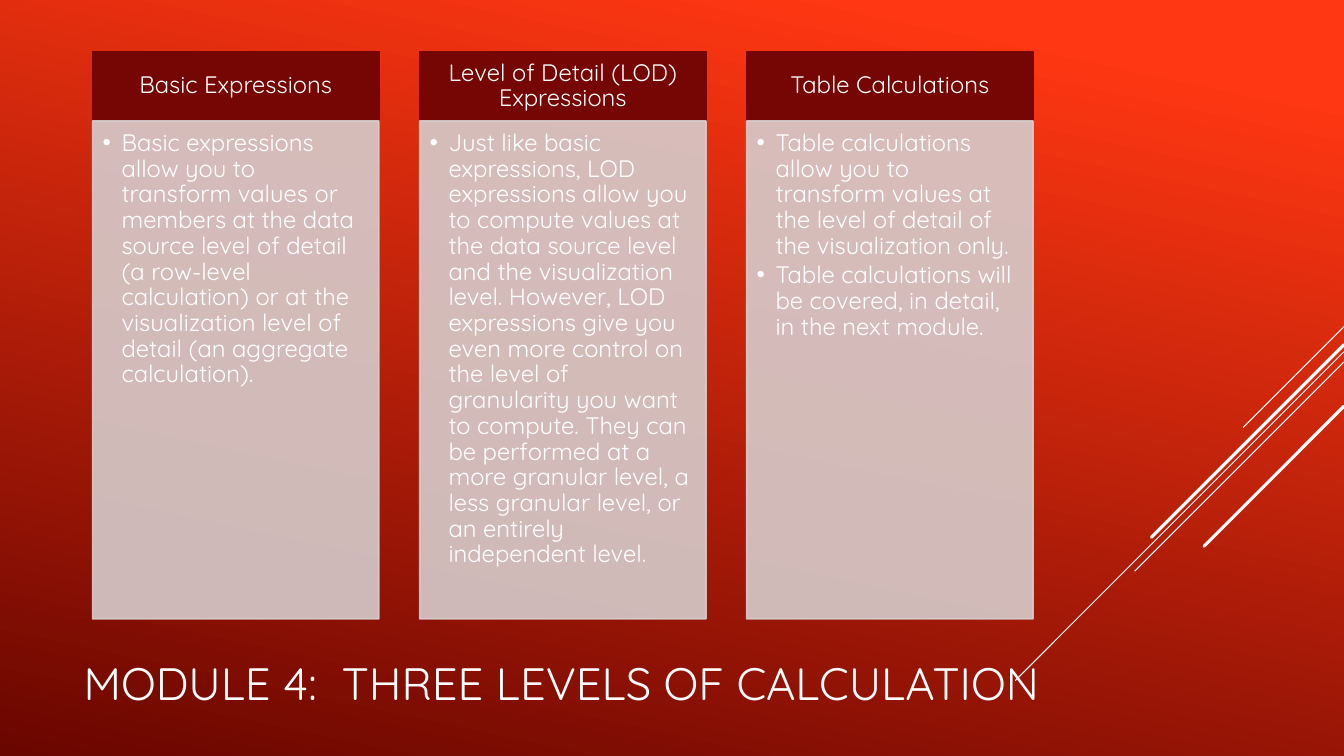
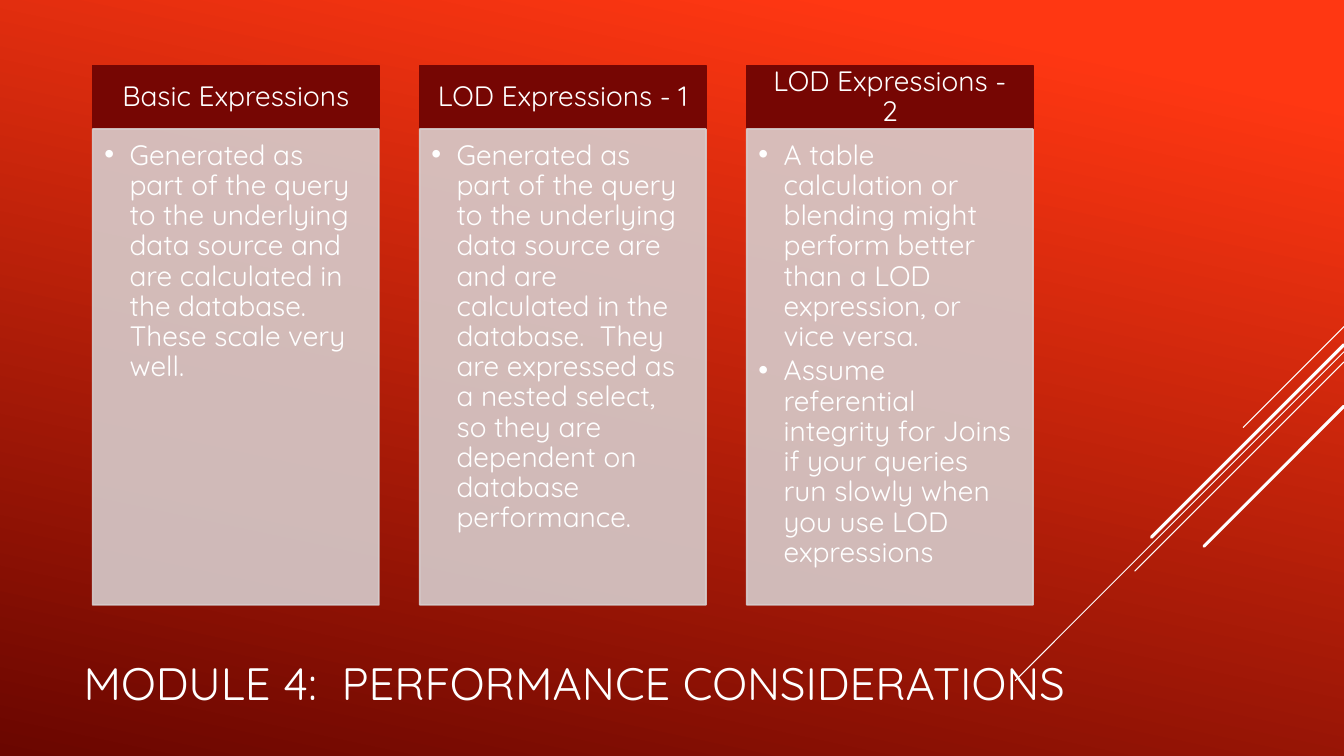
import pptx
import pptx.dml.color
import pptx.enum.shapes
import pptx.enum.text
import pptx.oxml.ns
import pptx.util
from lxml import etree

Pt = pptx.util.Pt
FONT = "Quicksand"
COLORS = {
    "glow": "FF3712",
    "ember": "6A0600",
    "header": "760603",
    "panel": "D6CCCC",
    "text": "FFFFFF",
}
SLIDE_WIDTH, SLIDE_HEIGHT = 960, 540
COLUMN_LEFT, COLUMN_STEP, COLUMN_WIDTH = 66.2, 233.6, 204.5
STRIPES = [
    (233.3, 72, 0.75),
    (251.3, 234.7, 0.75),
    (258.5, 149.4, 0.75),
    (246.2, 137.5, 2.25),
    (290.2, 100, 2.25),
]
SLIDES = [
    {
        "title": "MODULE 4:  THREE LEVELS OF CALCULATION",
        "title_width": 713.5,
        "top": 36.7,
        "header_height": 49.7,
        "body_height": 355.7,
        "size": 17,
        "indent": 13.5,
        "columns": [
            ("Basic Expressions", [
                "Basic expressions allow you to transform values or members at the data "
                "source level of detail (a row-level calculation) or at the visualization "
                "level of detail (an aggregate calculation).",
            ]),
            ("Level of Detail (LOD) Expressions", [
                "Just like basic expressions, LOD expressions allow you to compute values "
                "at the data source level and the visualization level. However, LOD "
                "expressions give you even more control on the level of granularity you "
                "want to compute. They can be performed at a more granular level, a less "
                "granular level, or an entirely independent level.",
            ]),
            ("Table Calculations", [
                "Table calculations allow you to transform values at the level of detail "
                "of the visualization only.",
                "Table calculations will be covered, in detail, in the next module.",
            ]),
        ],
    },
    {
        "title": "MODULE 4:  PERFORMANCE CONSIDERATIONS",
        "title_width": 735,
        "top": 46.8,
        "header_height": 45.4,
        "body_height": 339.8,
        "size": 20,
        "indent": 18,
        "columns": [
            ("Basic Expressions", [
                "Generated as part of the query to the underlying data source and are "
                "calculated in the database.  These scale very well.",
            ]),
            ("LOD Expressions - 1", [
                "Generated as part of the query to the underlying data source are and are "
                "calculated in the database.  They are expressed as a nested select, so "
                "they are dependent on database performance.",
            ]),
            ("LOD Expressions - 2", [
                "A table calculation or blending might perform better than a LOD "
                "expression, or vice versa.",
                "Assume referential integrity for Joins if your queries run slowly when "
                "you use LOD expressions",
            ]),
        ],
    },
]


def rgb(name):
    return pptx.dml.color.RGBColor.from_string(COLORS[name])


def add_xml(parent, tag, **attributes):
    return etree.SubElement(parent, pptx.oxml.ns.qn(tag), attributes)


def style_text(paragraph, size):
    for run in paragraph.runs:
        run.font.name = FONT
        run.font.size = Pt(size)
        run.font.color.rgb = rgb("text")


def paint_background(slide):
    fill = slide.background.fill
    fill.gradient()
    fill.gradient_angle = 258
    for stop, color, position in zip(fill.gradient_stops, ("glow", "ember"), (0.1, 1)):
        stop.color.rgb = rgb(color)
        stop.position = position


def add_title(slide, title, width):
    box = slide.shapes.add_textbox(Pt(52.6), Pt(452.9), Pt(width), Pt(68.4))
    frame = box.text_frame
    frame.word_wrap = True
    frame.vertical_anchor = pptx.enum.text.MSO_ANCHOR.MIDDLE
    frame.text = title
    style_text(frame.paragraphs[0], 32.4)


def add_stripes(slide):
    for top, run, weight in STRIPES:
        stripe = slide.shapes.add_connector(
            pptx.enum.shapes.MSO_CONNECTOR.STRAIGHT,
            Pt(SLIDE_WIDTH), Pt(top), Pt(SLIDE_WIDTH - run), Pt(top + run))
        stripe.line.color.rgb = rgb("text")
        stripe.line.width = Pt(weight)
        stripe.get_or_add_ln().set("cap", "rnd")
        add_xml(stripe._element.spPr, "a:effectLst")


def add_panel(slide, left, top, height, color, insets):
    panel = slide.shapes.add_shape(
        pptx.enum.shapes.MSO_SHAPE.RECTANGLE,
        Pt(left), Pt(top), Pt(COLUMN_WIDTH), Pt(height))
    panel.shadow.inherit = False
    panel.fill.solid()
    panel.fill.fore_color.rgb = rgb(color)
    panel.line.color.rgb = rgb(color)
    panel.line.width = Pt(1.25)
    frame = panel.text_frame
    frame.word_wrap = True
    frame.margin_left, frame.margin_top, frame.margin_right, frame.margin_bottom = map(Pt, insets)
    return panel


def add_header(slide, left, top, height, heading, size):
    side, edge = 0.56 * size, 0.32 * size
    header = add_panel(slide, left, top, height, "header", (side, edge, side, edge))
    frame = header.text_frame
    frame.vertical_anchor = pptx.enum.text.MSO_ANCHOR.MIDDLE
    frame.text = heading
    paragraph = frame.paragraphs[0]
    paragraph.alignment = pptx.enum.text.PP_ALIGN.CENTER
    paragraph.line_spacing = 0.9
    style_text(paragraph, size)


def add_body(slide, left, top, height, points, size, indent):
    insets = [factor * size for factor in (0.42, 0.42, 0.56, 0.63)]
    body = add_panel(slide, left, top, height, "panel", insets)
    for color in body._element.spPr.iter(pptx.oxml.ns.qn("a:srgbClr")):
        add_xml(color, "a:alpha", val="90000")
    frame = body.text_frame
    frame.vertical_anchor = pptx.enum.text.MSO_ANCHOR.TOP
    frame.text = "\n".join(points)
    for paragraph in frame.paragraphs:
        properties = paragraph._p.get_or_add_pPr()
        properties.set("marL", str(Pt(indent)))
        properties.set("indent", str(-Pt(indent)))
        add_xml(properties, "a:buFont", typeface="Arial")
        add_xml(properties, "a:buChar", char="•")
        paragraph.alignment = pptx.enum.text.PP_ALIGN.LEFT
        paragraph.line_spacing = 0.9
        paragraph.space_after = Pt(0.15 * size)
        style_text(paragraph, size)


def add_columns(slide, content):
    size, top, header_height = content["size"], content["top"], content["header_height"]
    for index, (heading, points) in enumerate(content["columns"]):
        left = COLUMN_LEFT + index * COLUMN_STEP
        add_header(slide, left, top, header_height, heading, size)
        add_body(slide, left, top + header_height, content["body_height"],
                 points, size, content["indent"])


def main():
    deck = pptx.Presentation()
    deck.slide_width, deck.slide_height = Pt(SLIDE_WIDTH), Pt(SLIDE_HEIGHT)
    paint_background(deck.slide_master)
    for content in SLIDES:
        slide = deck.slides.add_slide(deck.slide_layouts[6])
        add_title(slide, content["title"], content["title_width"])
        add_stripes(slide)
        add_columns(slide, content)
    deck.save("out.pptx")


if __name__ == "__main__":
    main()
